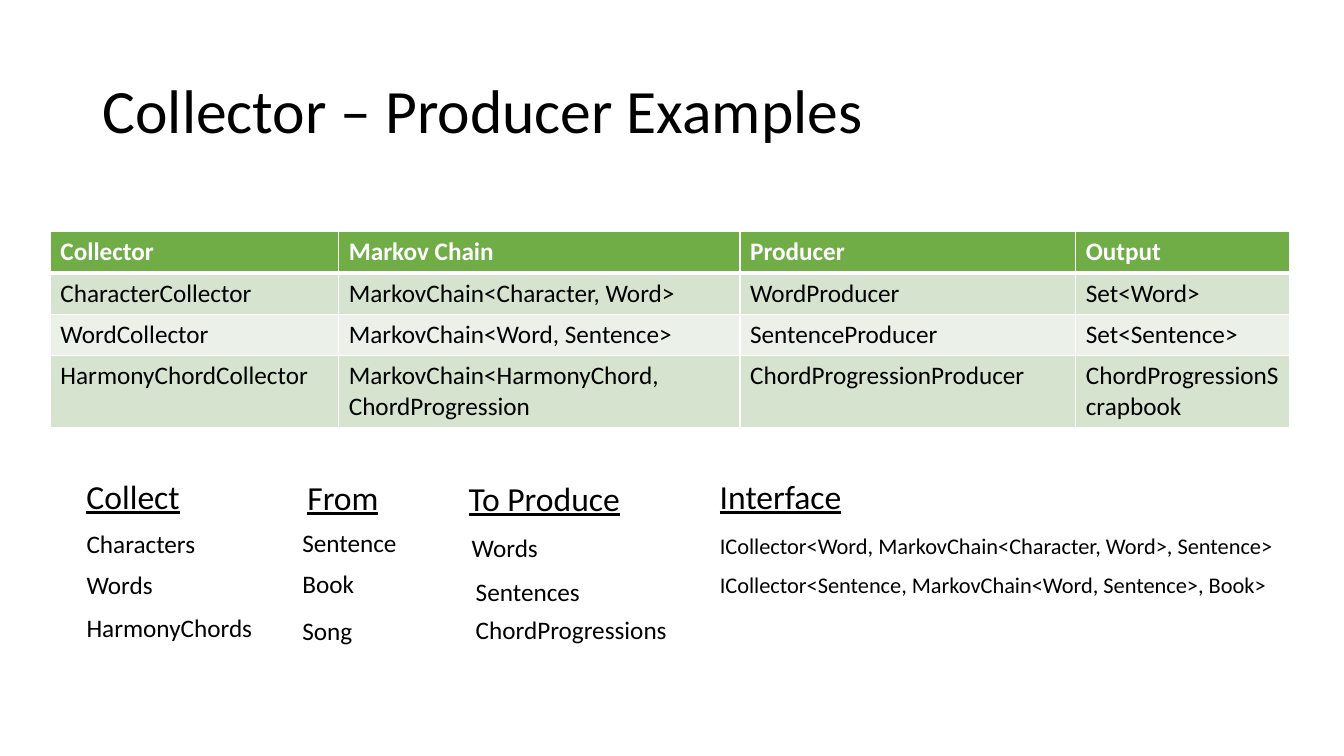
from dataclasses import dataclass

from lxml import etree
from pptx import Presentation
from pptx import util as u
from pptx.dml.color import RGBColor
from pptx.enum import text
from pptx.oxml import ns

PX = 9144  # EMU per px, 100 px to the inch
FONT = "Calibri"
BLACK = RGBColor(0x00, 0x00, 0x00)
WHITE = RGBColor(0xFF, 0xFF, 0xFF)
GREEN = RGBColor(0x70, 0xAD, 0x47)
SAGE = RGBColor(0xD5, 0xE3, 0xCF)
PALE = RGBColor(0xEB, 0xF1, 0xE9)


@dataclass
class Label:
    words: str
    left: int
    top: int
    width: int


@dataclass
class Group:
    head: Label
    items: list[Label]
    size: int = 18


COLS = [286, 398, 333, 212]
ROWS = [41, 41, 41, 71]
CELLS = [
    ["Collector", "Markov Chain", "Producer", "Output"],
    ["CharacterCollector", "MarkovChain<Character, Word>", "WordProducer", "Set<Word>"],
    ["WordCollector", "MarkovChain<Word, Sentence>", "SentenceProducer", "Set<Sentence>"],
    ["HarmonyChordCollector", "MarkovChain<HarmonyChord, ChordProgression",
     "ChordProgressionProducer", "ChordProgressionScrapbook"],
]

GROUPS = [
    Group(Label("Collect", 76, 467, 134), [
        Label("Characters", 76, 519, 149),
        Label("Words", 76, 560, 149),
        Label("HarmonyChords", 76, 603, 188)]),
    Group(Label("From", 295, 468, 134), [
        Label("Sentence", 290, 518, 149),
        Label("Book", 290, 559, 149),
        Label("Song", 290, 606, 149)]),
    Group(Label("To Produce", 455, 469, 223), [
        Label("Words", 458, 523, 149),
        Label("Sentences", 462, 567, 149),
        Label("ChordProgressions", 462, 605, 216)]),
    Group(Label("Interface", 704, 467, 223), [
        Label("ICollector<Word, MarkovChain<Character, Word>, Sentence>", 704, 523, 595),
        Label("ICollector<Sentence, MarkovChain<Word, Sentence>, Book>", 704, 562, 612)],
        size=16),
]


def px(n: int) -> u.Emu:
    return u.Emu(n * PX)


def add_run(para, words: str, size: int, color=BLACK, bold=False, under=False) -> None:
    run = para.add_run()
    run.text = words
    font = run.font
    font.name, font.size = FONT, u.Pt(size)
    font.bold, font.underline = bold, under
    font.color.rgb = color


def add_label(slide, label: Label, size: int, high: int, under=False):
    box = slide.shapes.add_textbox(
        px(label.left), px(label.top), px(label.width), px(high))
    frame = box.text_frame
    frame.word_wrap = True
    add_run(frame.paragraphs[0], label.words, size, under=under)
    return frame


def add_edge(cell, side: str, width: int) -> None:
    props = cell._tc.get_or_add_tcPr()
    line = etree.SubElement(props, ns.qn(f"a:ln{side}"), w=str(u.Pt(width)))
    fill = etree.SubElement(line, ns.qn("a:solidFill"))
    etree.SubElement(fill, ns.qn("a:srgbClr"), val=str(WHITE))


def add_grid(slide) -> None:
    grid = slide.shapes.add_table(
        len(ROWS), len(COLS), px(50), px(230), px(sum(COLS)), px(sum(ROWS))).table
    for col, width in zip(grid.columns, COLS):
        col.width = px(width)
    for r, (row, high) in enumerate(zip(CELLS, ROWS)):
        grid.rows[r].height = px(high)
        head = r == 0
        for c, words in enumerate(row):
            cell = grid.cell(r, c)
            # Thick rule between the header and the body
            edges = {"L": 1, "R": 1, "T": 3 if r == 1 else 1, "B": 3 if head else 1}
            for side, width in edges.items():
                add_edge(cell, side, width)
            cell.fill.solid()
            cell.fill.fore_color.rgb = GREEN if head else SAGE if r % 2 else PALE
            add_run(cell.text_frame.paragraphs[0], words, 18,
                    WHITE if head else BLACK, bold=head)


def main() -> None:
    deck = Presentation()
    deck.slide_width, deck.slide_height = px(1333), px(750)
    slide = deck.slides.add_slide(deck.slide_layouts[6])

    # Title
    title = add_label(slide, Label("Collector – Producer Examples", 92, 40, 1150), 44, 145)
    title.vertical_anchor = text.MSO_ANCHOR.MIDDLE
    title.paragraphs[0].line_spacing = 0.9

    # Table of collectors and producers
    add_grid(slide)

    # Lists under underlined headings
    for group in GROUPS:
        add_label(slide, group.head, 24, 50, under=True)
        for item in group.items:
            add_label(slide, item, group.size, 40 if group.size == 18 else 37)

    deck.save("out.pptx")


if __name__ == "__main__":
    main()
